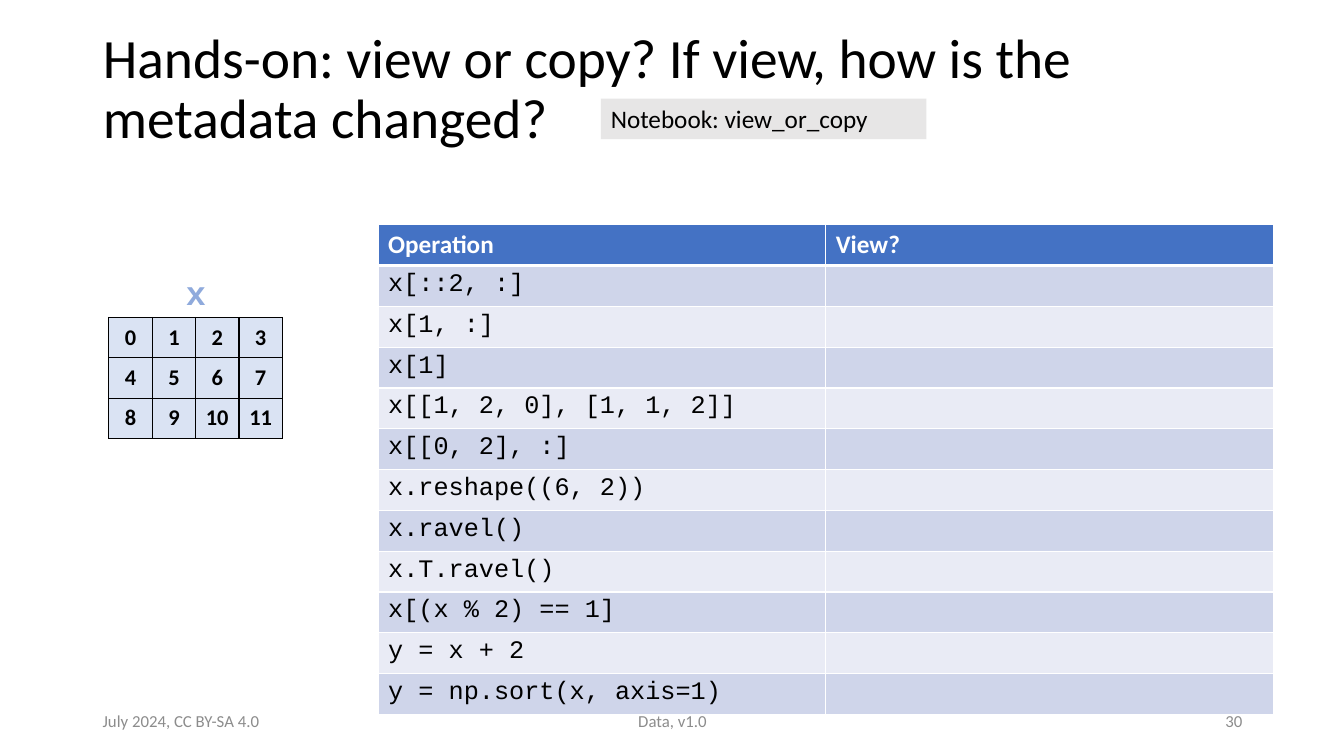
"""Build the "view or copy?" hands-on slide."""
from lxml.etree import SubElement
from pptx import Presentation
from pptx.dml.color import RGBColor
from pptx.enum.shapes import MSO_SHAPE as Shape
from pptx.enum.text import MSO_ANCHOR as Anchor, PP_ALIGN as Align
from pptx.oxml.ns import qn
from pptx.util import Inches, Pt

TITLE = "Hands-on: view or copy? If view, how is the metadata changed?"
NOTEBOOK = "Notebook: view_or_copy"
FOOTERS = [
    ("July 2024, CC BY-SA 4.0", 0.92, 3, Align.LEFT),
    ("Data, v1.0", 4.42, 4.5, Align.CENTER),
    ("30", 9.42, 3, Align.RIGHT),
]
MATRIX_NAME = "x"
MATRIX = [[0, 1, 2, 3], [4, 5, 6, 7], [8, 9, 10, 11]]
HEADINGS = ["Operation", "View?"]
OPERATIONS = [
    "x[::2, :]",
    "x[1, :]",
    "x[1]",
    "x[[1, 2, 0], [1, 1, 2]]",
    "x[[0, 2], :]",
    "x.reshape((6, 2))",
    "x.ravel()",
    "x.T.ravel()",
    "x[(x % 2) == 1]",
    "y = x + 2",
    "y = np.sort(x, axis=1)",
]
SANS, MONO = "Calibri", "Courier New"
BLACK, WHITE, GREY = "000000", "FFFFFF", "8C8C8C"
HEADER_FILL, BANDS = "4472C4", ["CFD5EA", "E9EBF5"]
MATRIX_FILL, MATRIX_LABEL, NOTEBOOK_FILL = "DAE3F3", "8FAADC", "E7E6E6"


def paint(fill, color):
    fill.solid()
    fill.fore_color.rgb = RGBColor.from_string(color)


def write(frame, text, size, color=BLACK, face=SANS, bold=False, align=Align.LEFT):
    frame.text = text
    paragraph = frame.paragraphs[0]
    paragraph.alignment = align
    font = paragraph.runs[0].font if text else paragraph.font
    font.size, font.name, font.bold = Pt(size), face, bold
    font.color.rgb = RGBColor.from_string(color)


def add_label(slide, box, text, size, anchor=Anchor.TOP, **style):
    frame = slide.shapes.add_textbox(*map(Inches, box)).text_frame
    frame.word_wrap = True
    frame.vertical_anchor = anchor
    write(frame, text, size, **style)


def add_grid(slide, left, top, col_width, row_height, rows, cols):
    box = left, top, col_width * cols, row_height * rows
    table = slide.shapes.add_table(rows, cols, *map(Inches, box)).table
    for column in table.columns:
        column.width = Inches(col_width)
    for row in table.rows:
        row.height = Inches(row_height)
    return table


def format_cell(cell, fill, border, bottom=1):
    properties = cell._tc.get_or_add_tcPr()
    for side, width in (("L", 1), ("R", 1), ("T", 1), ("B", bottom)):
        line = SubElement(properties, qn(f"a:ln{side}"), w=str(Pt(width)))
        SubElement(SubElement(line, qn("a:solidFill")), qn("a:srgbClr"), val=border)
    paint(cell.fill, fill)


def add_matrix(slide):
    table = add_grid(slide, 1.08, 3.15, 0.43, 0.4, len(MATRIX), len(MATRIX[0]))
    for r, values in enumerate(MATRIX):
        for c, value in enumerate(values):
            cell = table.cell(r, c)
            format_cell(cell, MATRIX_FILL, BLACK)
            cell.vertical_anchor = Anchor.MIDDLE
            cell.margin_left = cell.margin_right = Inches(0.08)
            cell.margin_top = cell.margin_bottom = Inches(0.04)
            write(cell.text_frame, str(value), 16, bold=True, align=Align.CENTER)


def add_operations(slide):
    table = add_grid(slide, 3.75, 2.23, 4.44, 0.405, len(OPERATIONS) + 1, len(HEADINGS))
    for c, heading in enumerate(HEADINGS):
        cell = table.cell(0, c)
        format_cell(cell, HEADER_FILL, WHITE, bottom=3)
        write(cell.text_frame, heading, 18, WHITE, bold=True)
    for r, operation in enumerate(OPERATIONS):
        for c, text in enumerate((operation, "")):
            cell = table.cell(r + 1, c)
            format_cell(cell, BANDS[r % 2], WHITE)
            write(cell.text_frame, text, 18, face=MONO)


def main():
    deck = Presentation()
    deck.slide_width, deck.slide_height = Inches(13.33), Inches(7.5)
    slide = deck.slides.add_slide(deck.slide_layouts[5])

    title = slide.shapes.title
    title.left, title.top, title.width, title.height = map(Inches, (0.92, 0.4, 11.5, 0.99))
    title.text_frame.vertical_anchor = Anchor.MIDDLE
    write(title.text_frame, TITLE, 39.6)
    title.text_frame.paragraphs[0].line_spacing = 0.9

    for text, left, width, align in FOOTERS:
        add_label(slide, (left, 6.95, width, 0.4), text, 12, Anchor.MIDDLE, color=GREY, align=align)

    add_label(slide, (0.88, 2.65, 2.13, 0.5), MATRIX_NAME, 24,
              color=MATRIX_LABEL, face=MONO, bold=True, align=Align.CENTER)
    add_matrix(slide)
    add_operations(slide)

    notebook = slide.shapes.add_shape(Shape.RECTANGLE, *map(Inches, (5.96, 0.98, 3.23, 0.4)))
    notebook.shadow.inherit = False
    paint(notebook.fill, NOTEBOOK_FILL)
    notebook.line.fill.background()
    notebook.text_frame.vertical_anchor = Anchor.TOP
    write(notebook.text_frame, NOTEBOOK, 18)

    deck.save("out.pptx")


if __name__ == "__main__":
    main()
